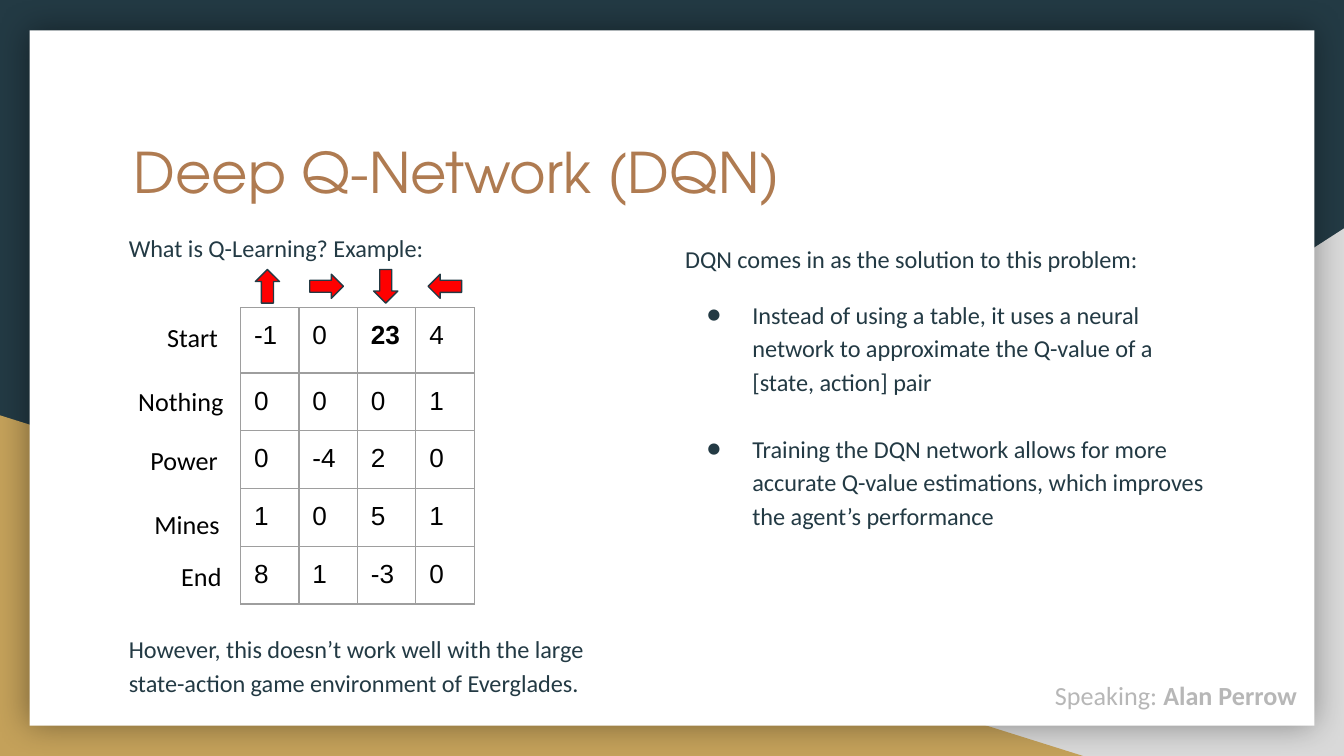
from dataclasses import dataclass

from lxml.etree import SubElement
from pptx import Presentation
from pptx.dml.color import RGBColor
from pptx.enum.shapes import MSO_SHAPE
from pptx.enum.text import MSO_ANCHOR, MSO_AUTO_SIZE, PP_ALIGN
from pptx.oxml.ns import qn
from pptx.util import Pt

PX = 4572  # 200 px to the inch
INSET = 20 * PX


@dataclass(frozen=True)
class Theme:
    ink: str = "233A44"
    gold: str = "C4A15A"
    silver: str = "D9D9D9"
    paper: str = "FFFFFF"
    copper: str = "AF7B51"
    black: str = "000000"
    red: str = "FF0000"
    grid: str = "9E9E9E"
    muted: str = "B7B7B7"
    heading_font: str = "TeX Gyre Adventor"
    body_font: str = "Calibri"
    number_font: str = "Arial"
    title_size: int = 30
    body_size: int = 13
    label_size: int = 14


def box(*lengths):
    return [length * PX for length in lengths]


def add_element(parent, tag, **attributes):
    return SubElement(parent, qn(tag), {k: str(v) for k, v in attributes.items()})


class SlideBuilder:
    def __init__(self, slide, theme):
        self.slide = slide
        self.theme = theme
        fill = slide.background.fill
        fill.solid()
        fill.fore_color.rgb = RGBColor.from_string(theme.ink)

    def style(self, paragraph, size, color, font=None, bold=False):
        for run in paragraph.runs:
            run.font.size = Pt(size)
            run.font.name = font or self.theme.body_font
            run.font.bold = bold
            run.font.color.rgb = RGBColor.from_string(color)

    def inset(self, holder):
        holder.margin_left = holder.margin_right = INSET
        holder.margin_top = holder.margin_bottom = INSET

    def frame(self, holder):
        frame = holder.text_frame
        frame.word_wrap = True
        frame.auto_size = MSO_AUTO_SIZE.NONE
        frame.vertical_anchor = MSO_ANCHOR.TOP
        self.inset(frame)
        return frame

    def shape(self, kind, bounds, fill, line=None, rotation=0, flip=False):
        shape = self.slide.shapes.add_shape(kind, *box(*bounds))
        shape.shadow.inherit = False
        shape.rotation = rotation
        shape.fill.solid()
        shape.fill.fore_color.rgb = RGBColor.from_string(fill)
        if line:
            shape.line.color.rgb = RGBColor.from_string(line)
            shape.line.width = Pt(0.75)
        else:
            shape.line.fill.background()
        if flip:
            shape._element.spPr.find(qn("a:xfrm")).set("flipH", "1")
        return shape

    def card(self, bounds):
        card = self.shape(MSO_SHAPE.RECTANGLE, bounds, self.theme.paper)
        effects = card._element.spPr.find(qn("a:effectLst"))
        shadow = add_element(effects, "a:outerShdw", blurRad=Pt(18), dist=0,
                             dir=0, algn="ctr", rotWithShape=0)
        color = add_element(shadow, "a:srgbClr", val=self.theme.black)
        add_element(color, "a:alpha", val=40000)

    def title(self, text, bounds):
        title = self.slide.shapes.title
        title.left, title.top, title.width, title.height = box(*bounds)
        self.slide.shapes._spTree.append(title._element)  # in front of the card
        frame = self.frame(title)
        frame.text = text
        heading = frame.paragraphs[0]
        heading.alignment = PP_ALIGN.LEFT
        self.style(heading, self.theme.title_size, self.theme.copper,
                   self.theme.heading_font)

    def text(self, text, bounds, size, color):
        frame = self.frame(self.slide.shapes.add_textbox(*box(*bounds)))
        frame.text = text
        self.style(frame.paragraphs[0], size, color)
        return frame

    def body(self, text, bounds):
        frame = self.text(text, bounds, self.theme.body_size, self.theme.ink)
        frame.paragraphs[0].line_spacing = 1.15
        return frame

    def add_body(self, frame, text, space_before, bullet=False):
        paragraph = frame.add_paragraph()
        paragraph.text = text
        paragraph.line_spacing = 1.15
        paragraph.space_before = Pt(space_before)
        if bullet:
            properties = paragraph._p.get_or_add_pPr()
            properties.set("marL", str(100 * PX))
            properties.set("indent", str(-68 * PX))
            color = add_element(properties, "a:buClr")
            add_element(color, "a:srgbClr", val=self.theme.ink)
            add_element(properties, "a:buFont", typeface=self.theme.body_font)
            add_element(properties, "a:buChar", char="●")
        self.style(paragraph, self.theme.body_size, self.theme.ink)

    def table(self, values, left, top, column_width, row_heights, best):
        bounds = box(left, top, column_width * len(values[0]), sum(row_heights))
        table = self.slide.shapes.add_table(len(values), len(values[0]), *bounds).table
        table.first_row = table.horz_banding = False
        for column in table.columns:
            column.width = column_width * PX
        for row, height in zip(table.rows, row_heights):
            row.height = height * PX
        for r, row_values in enumerate(values):
            for c, value in enumerate(row_values):
                self.cell(table.cell(r, c), value, (r, c) == best)

    def cell(self, cell, value, bold):
        self.inset(cell)
        cell.text_frame.text = str(value)
        self.style(cell.text_frame.paragraphs[0], self.theme.label_size,
                   self.theme.black, self.theme.number_font, bold)
        properties = cell._tc.get_or_add_tcPr()
        for side in ("a:lnL", "a:lnR", "a:lnT", "a:lnB"):
            border = add_element(properties, side, w=Pt(0.75))
            fill = add_element(border, "a:solidFill")
            add_element(fill, "a:srgbClr", val=self.theme.grid)
        cell.fill.solid()
        cell.fill.fore_color.rgb = RGBColor.from_string(self.theme.paper)


def main():
    theme = Theme()
    deck = Presentation()
    deck.slide_width, deck.slide_height = box(2000, 1125)
    builder = SlideBuilder(deck.slides.add_slide(deck.slide_layouts[5]), theme)

    # Backdrop
    builder.shape(MSO_SHAPE.RIGHT_TRIANGLE, (784, 340, 1216, 785), theme.silver, flip=True)
    builder.shape(MSO_SHAPE.RIGHT_TRIANGLE, (0, 618, 1612, 507), theme.gold)
    builder.card((44, 45, 1912, 1035))

    # Q-learning text, above and below the table
    learning = builder.body("What is Q-Learning? Example:", (172, 321, 738, 774))
    builder.add_body(learning, "However, this doesn’t work well with the large "
                     "state-action game environment of Everglades.", 197)

    # Title
    builder.title("Deep Q-Network (DQN)", (179, 185, 1642, 208))

    # DQN solution
    solution = builder.body("DQN comes in as the solution to this problem:",
                            (1000, 337, 820, 470))
    builder.add_body(solution, "Instead of using a table, it uses a neural network to "
                     "approximate the Q-value of a [state, action] pair", 12, bullet=True)
    builder.add_body(solution, "Training the DQN network allows for more accurate Q-value "
                     "estimations, which improves the agent’s performance", 18, bullet=True)

    # Q-table: one row per state, one column per move
    q_values = [
        [-1, 0, 23, 4],
        [0, 0, 0, 1],
        [0, -4, 2, 0],
        [1, 0, 5, 1],
        [8, 1, -3, 0],
    ]
    builder.table(q_values, 358, 458, 87, [97] + [86] * 4, best=(0, 2))

    states = [("Start", 229, 458, 150), ("Nothing", 186, 554, 176),
              ("Power", 204, 642, 150), ("Mines", 210, 737, 226), ("End", 250, 814, 176)]
    for state, left, top, width in states:
        builder.text(state, (left, top, width, 88), theme.label_size, theme.black)

    for move in range(4):
        builder.shape(MSO_SHAPE.UP_ARROW, (380 + move * 88, 401, 36, 50),
                      theme.red, line=theme.ink, rotation=90 * move)

    # Speaker
    speaker = builder.text("Speaking: ", (1456, 991, 494, 88),
                           theme.label_size, theme.muted).paragraphs[0]
    speaker.alignment = PP_ALIGN.RIGHT
    name = speaker.add_run()
    name.text = "Alan Perrow"
    builder.style(speaker, theme.label_size, theme.muted)
    name.font.bold = True

    deck.save("out.pptx")


if __name__ == "__main__":
    main()
